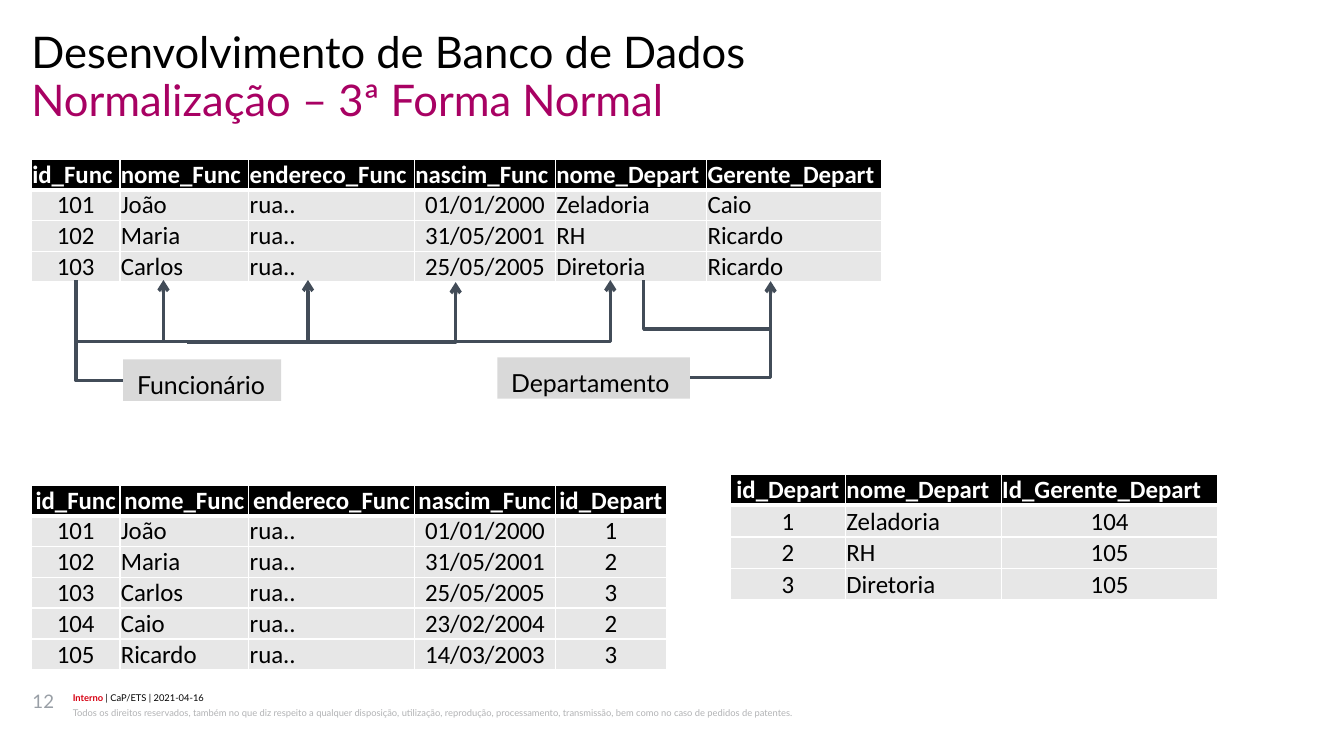
import pptx
import pptx.util
import pptx.dml.color
import pptx.enum.shapes
import pptx.enum.text
import pptx.oxml
import pptx.oxml.ns

Pt = pptx.util.Pt
ALIGN = pptx.enum.text.PP_ALIGN
ANCHOR = pptx.enum.text.MSO_ANCHOR
COLORS = {
    "black": "000000", "white": "FFFFFF", "magenta": "A80163", "red": "D70012",
    "note": "B2B3B5", "number": "999FA6", "label": "D9D9D9", "body": "E7E7E7",
    "line": "424C58",
}
FUNC_HEADS = ["id_Func", "nome_Func", "endereco_Func", "nascim_Func"]
FUNC_WIDTHS = [56.9, 82.8, 106.5, 90.7]
PEOPLE = [
    ["101", "João", "rua..", "01/01/2000"],
    ["102", "Maria", "rua..", "31/05/2001"],
    ["103", "Carlos", "rua..", "25/05/2005"],
    ["104", "Caio", "rua..", "23/02/2004"],
    ["105", "Ricardo", "rua..", "14/03/2003"],
]
BOSSES = [["Zeladoria", "Caio"], ["RH", "Ricardo"], ["Diretoria", "Ricardo"]]
DEPARTMENTS = [["1", "Zeladoria", "104"], ["2", "RH", "105"], ["3", "Diretoria", "105"]]
DEPART_IDS = ["1", "2", "3", "2", "3"]


def rgb(name):
    """Return the named colour."""
    return pptx.dml.color.RGBColor.from_string(COLORS[name])


def apply(obj, **values):
    """Set each given attribute on an object."""
    for name, value in values.items():
        setattr(obj, name, value)


def add_run(p, text, size, color, font="Lato", bold=False):
    """Append a formatted run to a paragraph."""
    r = p.add_run()
    r.text = text
    apply(r.font, size=Pt(size), name=font, bold=bold)
    r.font.color.rgb = rgb(color)


def add_text(s, box, runs, size, **spacing):
    """Add a text box without margins, holding one paragraph of runs."""
    tf = s.shapes.add_textbox(*map(Pt, box)).text_frame
    apply(tf, word_wrap=True, margin_left=0, margin_top=0, margin_right=0, margin_bottom=0)
    p = tf.paragraphs[0]
    apply(p, **spacing)
    for text, color, bold in runs:
        add_run(p, text, size, color, bold=bold)


def add_label(s, box, text):
    """Add a grey box naming an entity."""
    sp = s.shapes.add_shape(pptx.enum.shapes.MSO_SHAPE.RECTANGLE, *map(Pt, box))
    sp.shadow.inherit = False
    sp.fill.solid()
    sp.fill.fore_color.rgb = rgb("label")
    sp.line.fill.background()
    tf = sp.text_frame
    apply(tf, word_wrap=False, vertical_anchor=ANCHOR.TOP, margin_left=Pt(8.9),
          margin_right=Pt(8.9), margin_top=Pt(3), margin_bottom=Pt(3))
    p = tf.paragraphs[0]
    apply(p, alignment=ALIGN.LEFT, line_spacing=Pt(23), space_before=Pt(5))
    add_run(p, text, 16, "black")


def add_elbow(s, start, end, arrow):
    """Add a connector that drops from start and turns sideways to end."""
    kind = pptx.enum.shapes.MSO_CONNECTOR.ELBOW
    sp = s.shapes.add_connector(kind, *map(Pt, start + end))
    sp.line.width = Pt(2.25)
    sp.line.color.rgb = rgb("line")
    props = sp._element.spPr
    guides = props.find(pptx.oxml.ns.qn("a:prstGeom")).get_or_add_avLst()
    ns = pptx.oxml.ns.nsdecls("a")
    guides.append(pptx.oxml.parse_xml(f'<a:gd {ns} name="adj1" fmla="val 0"/>'))
    if arrow:
        ln = sp.line._get_or_add_ln()
        ln.append(pptx.oxml.parse_xml(f'<a:headEnd {ns} type="arrow"/>'))
    props.append(pptx.oxml.parse_xml(f"<a:effectLst {ns}/>"))


def set_borders(cell, header):
    """Draw white borders, with a thicker one below a header."""
    props = cell._tc.get_or_add_tcPr()
    ns = pptx.oxml.ns.nsdecls("a")
    for i, side in enumerate("LRTB"):
        width = Pt(3 if header and side == "B" else 1)
        props.insert(i, pptx.oxml.parse_xml(
            f'<a:ln{side} {ns} w="{width}"><a:solidFill>'
            f'<a:srgbClr val="{COLORS["white"]}"/></a:solidFill></a:ln{side}>'))


def fill_cell(cell, text, header, centered):
    """Write and format one table cell."""
    apply(cell, vertical_anchor=ANCHOR.BOTTOM, margin_left=Pt(0.6),
          margin_right=Pt(0.6), margin_top=Pt(0.3), margin_bottom=0)
    cell.fill.solid()
    cell.fill.fore_color.rgb = rgb("black" if header else "body")
    p = cell.text_frame.paragraphs[0]
    p.alignment = ALIGN.CENTER if centered else ALIGN.LEFT
    add_run(p, text, 16, "white" if header else "black", "Calibri", header)
    set_borders(cell, header)


def add_grid(s, left, top, widths, height, rows, centered_heads):
    """Add a table whose body centres the values that start with a digit."""
    frame = s.shapes.add_table(len(rows), len(widths), Pt(left), Pt(top),
                               Pt(sum(widths)), Pt(height * len(rows)))
    table = frame.table
    for column, width in zip(table.columns, widths):
        column.width = Pt(width)
    for i, values in enumerate(rows):
        table.rows[i].height = Pt(height)
        for j, text in enumerate(values):
            centered = j < centered_heads if i == 0 else text[0].isdigit()
            fill_cell(table.cell(i, j), text, i == 0, centered)


def main():
    """Build the third normal form slide."""
    prs = pptx.Presentation()
    apply(prs, slide_width=Pt(864), slide_height=Pt(486))
    s = prs.slides.add_slide(prs.slide_layouts[6])

    add_text(s, (46.8, 444.2, 720.7, 8.6),
             [("Interno", "red", True), (" | CaP/ETS | 2021-04-16", "black", False)],
             6, line_spacing=1.07, space_after=Pt(1))
    add_text(s, (46.8, 452.9, 720.7, 17.3),
             [("Todos os direitos reservados, também no que diz respeito a qualquer "
               "disposição, utilização, reprodução, processamento, transmissão, bem "
               "como no caso de pedidos de patentes.", "note", False)],
             6, line_spacing=1.2, space_after=Pt(1))
    for top, text, color in [(51.1, "Normalização – 3ª Forma Normal", "magenta"),
                             (20.2, "Desenvolvimento de Banco de Dados", "black")]:
        add_text(s, (20.2, top, 823, 31), [(text, color, False)], 28, line_spacing=0.89)
    add_text(s, (20.9, 443.5, 23, 32.4), [("12", "number", False)], 12)

    add_grid(s, 469.4, 304.6, [74.2, 100.1, 139.3], 20.3,
             [["id_Depart", "nome_Depart", "Id_Gerente_Depart"]] + DEPARTMENTS, 1)
    add_grid(s, 20.2, 102.2, FUNC_WIDTHS + [97.2, 112.3], 19.8,
             [FUNC_HEADS + ["nome_Depart", "Gerente_Depart"]]
             + [person + boss for person, boss in zip(PEOPLE, BOSSES)], 0)
    add_grid(s, 20.2, 311.8, FUNC_WIDTHS + [71.3], 19.8,
             [FUNC_HEADS + ["id_Depart"]]
             + [person + [key] for person, key in zip(PEOPLE, DEPART_IDS)], 5)

    add_label(s, (79.2, 231.1, 101.5, 26.6), "Funcionário")
    add_label(s, (319.7, 229.7, 123.8, 26.6), "Departamento")
    for start, end, arrow in [
        ((293, 181.4), (120.2, 220), True),
        ((49, 188), (79.2, 244.6), False),
        ((49, 180), (120.2, 219.6), False),
        ((105.1, 180), (177.1, 219.6), True),
        ((198, 180), (270, 219.6), True),
        ((392.4, 180), (293.8, 219.6), True),
        ((495.4, 180.7), (443.5, 242.8), True),
        ((413.8, 180), (494.6, 211.5), False),
    ]:
        add_elbow(s, start, end, arrow)
    prs.save("out.pptx")


if __name__ == "__main__":
    main()
